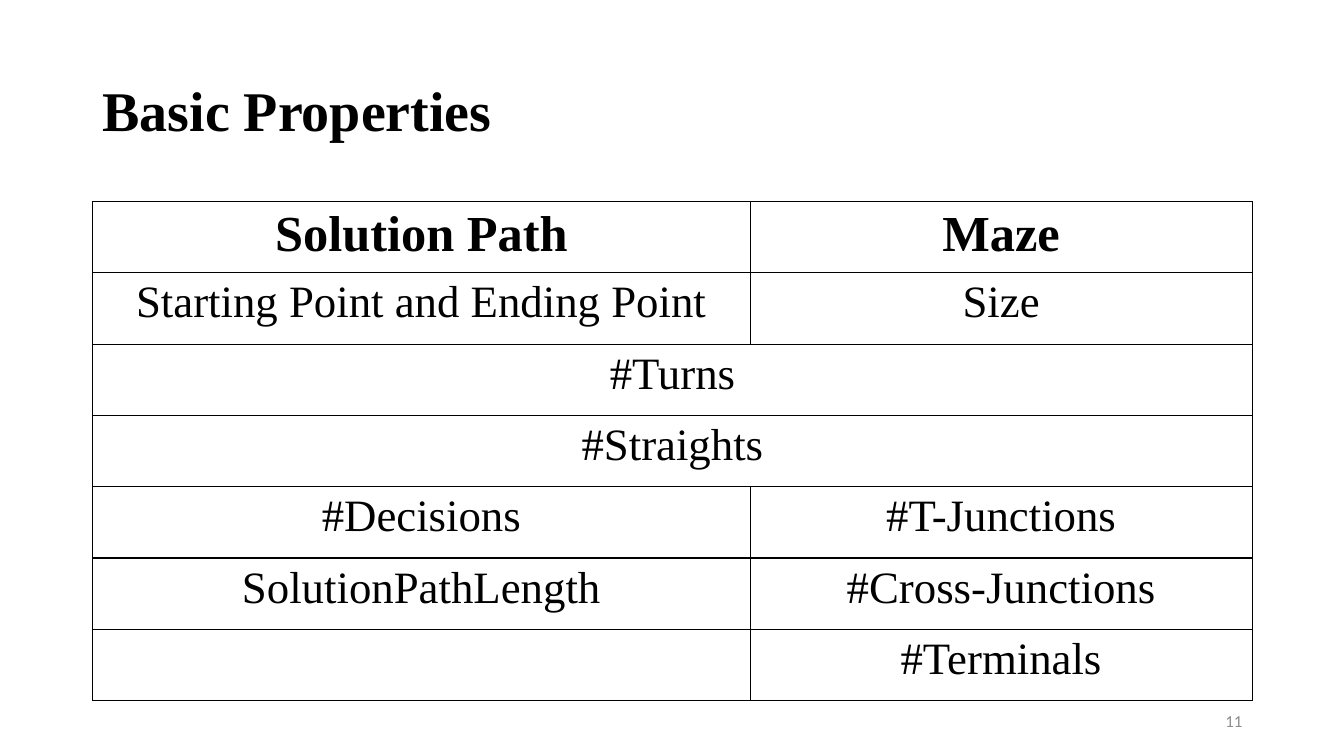
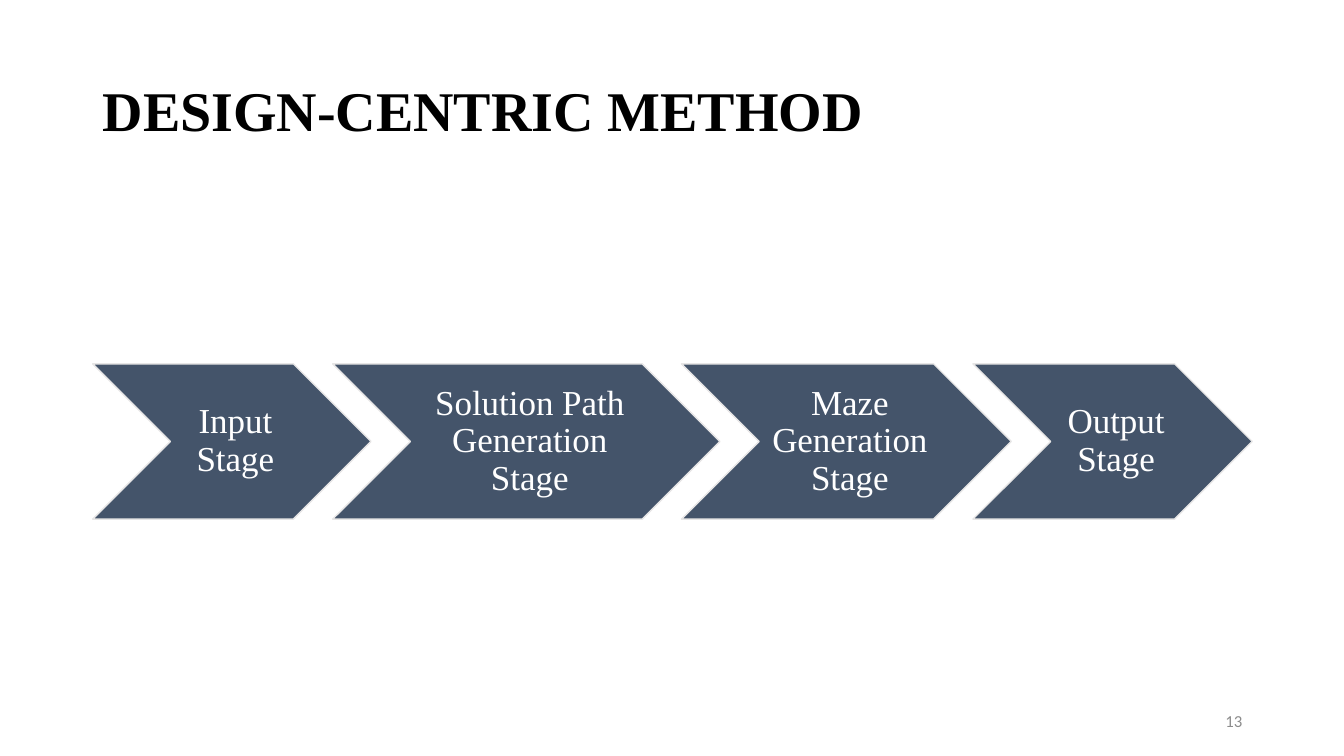
from lxml import etree
from pptx import Presentation
from pptx.dml.color import RGBColor
from pptx.enum.shapes import MSO_SHAPE as Shape
from pptx.enum.text import MSO_ANCHOR as Anchor, PP_ALIGN as Align
from pptx.oxml.ns import qn
from pptx.util import Emu, Pt

PX = 9144
BLACK = RGBColor(0, 0, 0)
WHITE = RGBColor(255, 255, 255)
GRAY = RGBColor(0x8C, 0x8C, 0x8C)
SLATE = RGBColor(0x44, 0x54, 0x6A)
PALE = RGBColor(0xE7, 0xE6, 0xE6)
SERIF, SANS = "Times New Roman", "Calibri"

TITLE = (92, 40, 1150, 145)
NUMBER = (942, 695, 300, 40)
GRID = (92, 200, 1150, 495)
FLOW = (92, 361, 1150, 154)

COLS = (652, 498)
ROWS = [
    ("Solution Path", "Maze"),
    ("Starting Point and Ending Point", "Size"),
    ("#Turns",),
    ("#Straights",),
    ("#Decisions", "#T-Junctions"),
    ("SolutionPathLength", "#Cross-Junctions"),
    ("", "#Terminals"),
]
STAGES = [
    ("Input Stage", 276),
    ("Solution Path Generation Stage", 384),
    ("Maze Generation Stage", 327),
    ("Output Stage", 277),
]


def px(*nums):
    return [Emu(round(n * PX)) for n in nums]


def write(frame, text, size, color=BLACK, font=SERIF, bold=False,
          align=Align.LEFT, space=1.0):
    frame.word_wrap = True
    frame.text = text
    para = frame.paragraphs[0]
    para.alignment = align
    para.line_spacing = space
    face = para.font
    face.size, face.name, face.bold = Pt(size), font, bold
    face.color.rgb = color


def add_text(slide, box, text, size, **style):
    frame = slide.shapes.add_textbox(*px(*box)).text_frame
    write(frame, text, size, **style)
    frame.vertical_anchor = Anchor.MIDDLE


def add_page(deck, title, number):
    """Add a blank slide with the shared title and page number."""
    slide = deck.slides.add_slide(deck.slide_layouts[6])
    add_text(slide, TITLE, title, 40, bold=True, space=0.9)
    add_text(slide, NUMBER, str(number), 12, color=GRAY, font=SANS,
             align=Align.RIGHT)
    return slide


def add_border(cell):
    props = cell._tc.get_or_add_tcPr()
    for side in ("lnL", "lnR", "lnT", "lnB"):
        line = etree.SubElement(props, qn("a:" + side), w=str(Pt(1)))
        fill = etree.SubElement(line, qn("a:solidFill"))
        etree.SubElement(fill, qn("a:srgbClr"), val=str(BLACK))


def add_grid(slide, box):
    table = slide.shapes.add_table(len(ROWS), len(COLS), *px(*box)).table
    table.first_row = table.horz_banding = False
    for col, width in zip(table.columns, COLS):
        col.width = px(width)[0]
    for row in table.rows:
        row.height = px(box[3] / len(ROWS))[0]
    for cell in table.iter_cells():
        add_border(cell)
        cell.fill.background()
    for r, texts in enumerate(ROWS):
        if len(texts) == 1:
            table.cell(r, 0).merge(table.cell(r, 1))
        for c, text in enumerate(texts):
            write(table.cell(r, c).text_frame, text, 32 if r else 36,
                  bold=r == 0, align=Align.CENTER)


def add_flow(slide, box):
    """Draw the stages as chevrons that overlap evenly across the box."""
    left, top, width, height = box
    lap = (sum(w for _, w in STAGES) - width) / (len(STAGES) - 1)
    for text, wide in STAGES:
        stage = slide.shapes.add_shape(Shape.CHEVRON,
                                       *px(left, top, wide, height))
        stage.shadow.inherit = False
        stage.fill.solid()
        stage.fill.fore_color.rgb = SLATE
        stage.line.color.rgb = PALE
        stage.line.width = Pt(1)
        frame = stage.text_frame
        write(frame, text, 25, color=WHITE, align=Align.CENTER, space=0.9)
        frame.vertical_anchor = Anchor.MIDDLE
        (frame.margin_left, frame.margin_top,
         frame.margin_right, frame.margin_bottom) = px(11, 4, 4, 4)
        left += wide - lap


def main():
    deck = Presentation()
    deck.slide_width, deck.slide_height = px(1333, 750)
    add_grid(add_page(deck, "Basic Properties", 11), GRID)
    add_flow(add_page(deck, "DESIGN-CENTRIC METHOD", 13), FLOW)
    deck.save("out.pptx")


if __name__ == "__main__":
    main()
